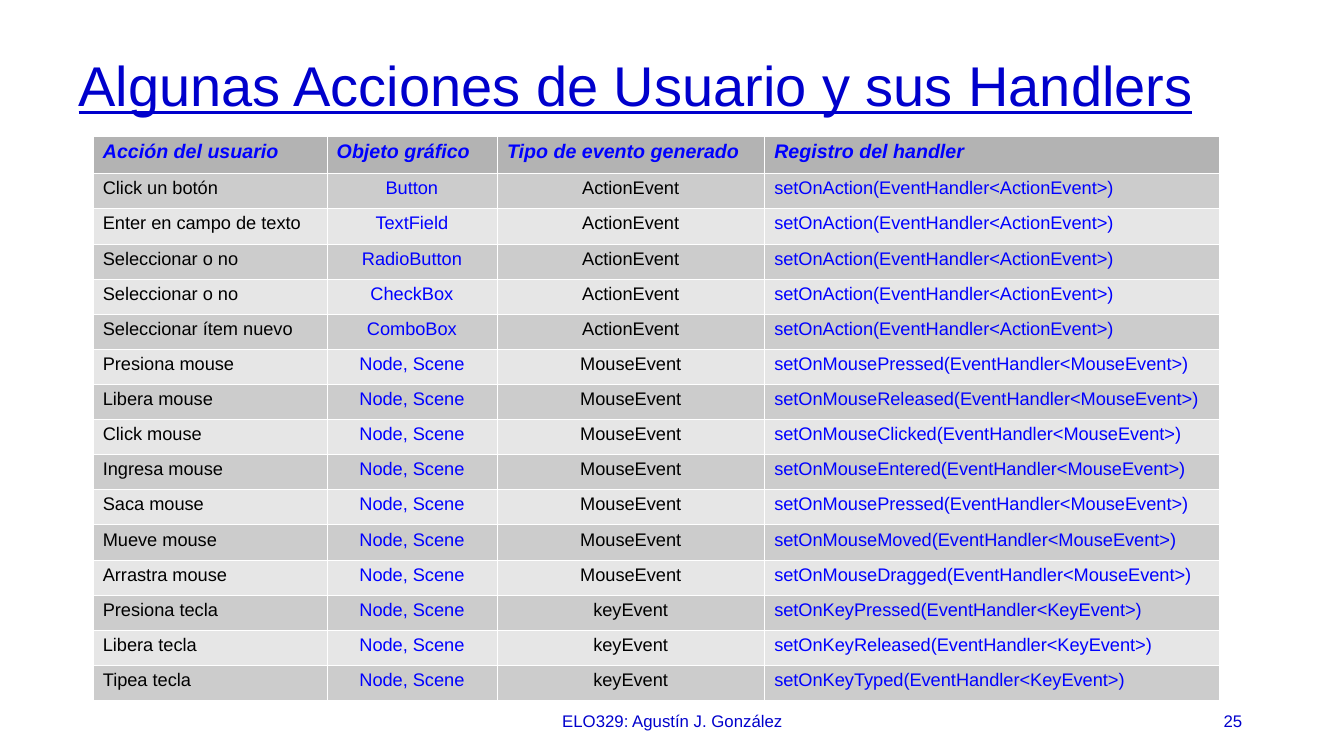
from lxml import etree
from pptx import Presentation
from pptx.dml.color import RGBColor
from pptx.enum.text import MSO_ANCHOR, MSO_AUTO_SIZE, PP_ALIGN
from pptx.oxml.ns import qn
from pptx.util import Inches, Pt

LEFT, CENTER, RIGHT = PP_ALIGN.LEFT, PP_ALIGN.CENTER, PP_ALIGN.RIGHT
MIDDLE = MSO_ANCHOR.MIDDLE
NO_FIT = MSO_AUTO_SIZE.NONE

NAVY = RGBColor(0x00, 0x00, 0xCC)
BLUE = RGBColor(0x00, 0x00, 0xFF)
BLACK = RGBColor(0x00, 0x00, 0x00)
WHITE = RGBColor(0xFF, 0xFF, 0xFF)
HEAD = RGBColor(0xB3, 0xB3, 0xB3)
BANDS = (RGBColor(0xE6, 0xE6, 0xE6), RGBColor(0xCC, 0xCC, 0xCC))
FONT = "Arial"

TITLE = "Algunas Acciones de Usuario y sus Handlers"
FOOTER = "ELO329: Agustín J. González"
NUMBER = "25"
ROWS = [
    ("Acción del usuario", "Objeto gráfico", "Tipo de evento generado", "Registro del handler"),
    ("Click un botón", "Button", "ActionEvent", "setOnAction(EventHandler<ActionEvent>)"),
    ("Enter en campo de texto", "TextField", "ActionEvent", "setOnAction(EventHandler<ActionEvent>)"),
    ("Seleccionar o no", "RadioButton", "ActionEvent", "setOnAction(EventHandler<ActionEvent>)"),
    ("Seleccionar o no", "CheckBox", "ActionEvent", "setOnAction(EventHandler<ActionEvent>)"),
    ("Seleccionar ítem nuevo", "ComboBox", "ActionEvent", "setOnAction(EventHandler<ActionEvent>)"),
    ("Presiona mouse", "Node, Scene", "MouseEvent", "setOnMousePressed(EventHandler<MouseEvent>)"),
    ("Libera mouse", "Node, Scene", "MouseEvent", "setOnMouseReleased(EventHandler<MouseEvent>)"),
    ("Click mouse", "Node, Scene", "MouseEvent", "setOnMouseClicked(EventHandler<MouseEvent>)"),
    ("Ingresa mouse", "Node, Scene", "MouseEvent", "setOnMouseEntered(EventHandler<MouseEvent>)"),
    ("Saca mouse", "Node, Scene", "MouseEvent", "setOnMousePressed(EventHandler<MouseEvent>)"),
    ("Mueve mouse", "Node, Scene", "MouseEvent", "setOnMouseMoved(EventHandler<MouseEvent>)"),
    ("Arrastra mouse", "Node, Scene", "MouseEvent", "setOnMouseDragged(EventHandler<MouseEvent>)"),
    ("Presiona tecla", "Node, Scene", "keyEvent", "setOnKeyPressed(EventHandler<KeyEvent>)"),
    ("Libera tecla", "Node, Scene", "keyEvent", "setOnKeyReleased(EventHandler<KeyEvent>)"),
    ("Tipea tecla", "Node, Scene", "keyEvent", "setOnKeyTyped(EventHandler<KeyEvent>)"),
]
# Width, alignment and text colour of each column
COLS = [(2.32, LEFT, BLACK), (1.69, CENTER, BLUE), (2.65, CENTER, BLACK), (4.51, LEFT, BLUE)]

TABLE_X, TABLE_Y, TABLE_H, HEAD_H = 0.92, 1.35, 5.6, 0.37
FOOT_Y, FOOT_H = TABLE_Y + TABLE_H, 0.4


def write(frame, text, size, color, align=LEFT):
    """Put one line of text in a frame and return its font."""
    frame.text = text
    line = frame.paragraphs[0]
    line.alignment = align
    font = line.runs[0].font
    font.name, font.size, font.color.rgb = FONT, Pt(size), color
    return font


def add_borders(cell):
    props = cell._tc.get_or_add_tcPr()
    for side in ("lnL", "lnR", "lnT", "lnB"):
        line = etree.SubElement(props, qn("a:" + side), w=str(Pt(0.06)))
        fill = etree.SubElement(line, qn("a:solidFill"))
        etree.SubElement(fill, qn("a:srgbClr"), val=str(WHITE))


def add_title(slide):
    title = slide.shapes.title
    title.left, title.top = Inches(0.68), Inches(0.4)
    title.width, title.height = Inches(12.08), Inches(0.95)
    frame = title.text_frame
    frame.auto_size, frame.vertical_anchor = NO_FIT, MIDDLE
    write(frame, TITLE, 40, NAVY).underline = True
    frame.paragraphs[0].line_spacing = 0.9


def add_table(slide):
    width = sum(col[0] for col in COLS)
    table = slide.shapes.add_table(
        len(ROWS), len(COLS), Inches(TABLE_X), Inches(TABLE_Y), Inches(width), Inches(TABLE_H)
    ).table
    row_h = (TABLE_H - HEAD_H) / (len(ROWS) - 1)
    for col, (wide, _, _) in zip(table.columns, COLS):
        col.width = Inches(wide)
    for r, row in enumerate(ROWS):
        is_head = r == 0
        table.rows[r].height = Inches(HEAD_H if is_head else row_h)
        for c, (text, (_, align, color)) in enumerate(zip(row, COLS)):
            cell = table.cell(r, c)
            add_borders(cell)
            cell.fill.solid()
            cell.fill.fore_color.rgb = HEAD if is_head else BANDS[r % 2]
            if is_head:
                font = write(cell.text_frame, text, 14, BLUE)
            else:
                font = write(cell.text_frame, text, 13, color, align)
            font.bold = font.italic = is_head


def add_foot(slide, text, left, width, align):
    box = slide.shapes.add_textbox(Inches(left), Inches(FOOT_Y), Inches(width), Inches(FOOT_H))
    frame = box.text_frame
    frame.word_wrap, frame.vertical_anchor = True, MIDDLE
    write(frame, text, 12, NAVY, align)


def main():
    deck = Presentation()
    deck.slide_width, deck.slide_height = Inches(13.33), Inches(7.5)
    slide = deck.slides.add_slide(deck.slide_layouts.get_by_name("Title Only"))
    add_title(slide)
    add_foot(slide, FOOTER, 4.42, 4.5, CENTER)
    add_foot(slide, NUMBER, 9.42, 3, RIGHT)
    add_table(slide)
    deck.save("out.pptx")


if __name__ == "__main__":
    main()
